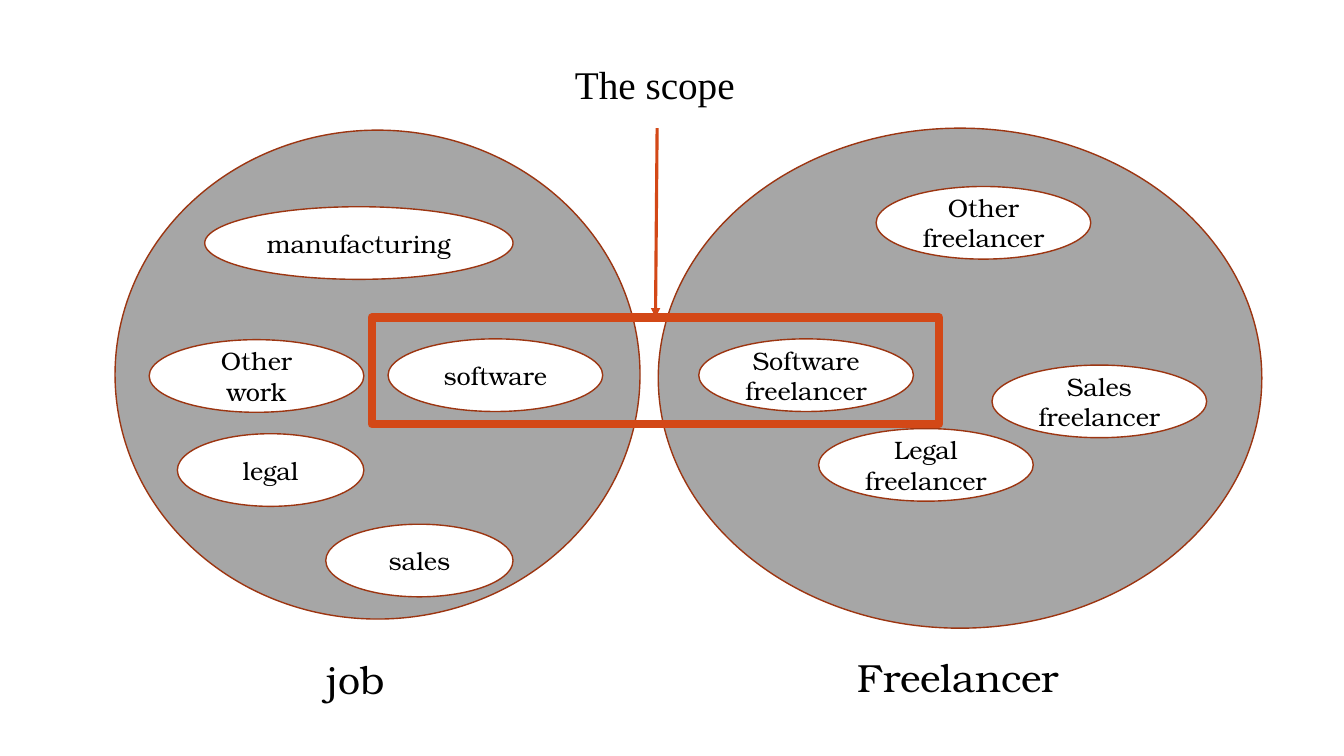
from dataclasses import dataclass

from lxml import etree
from pptx import Presentation
from pptx import util as u
from pptx.dml import color
from pptx.enum import shapes, text
from pptx.oxml import ns


@dataclass(frozen=True)
class Theme:
    """Colours, fonts and type sizes of the slide."""
    ink: str = "000000"
    paper: str = "FFFFFF"
    group: str = "A6A6A6"
    outline: str = "9C3511"
    accent: str = "D34817"
    font: str = "TeX Gyre Bonum"
    title_font: str = "Times New Roman"
    topic_size: int = 18
    label_size: int = 28


@dataclass(frozen=True)
class Box:
    """A rectangle measured in centimetres."""
    left: float
    top: float
    width: float
    height: float

    def inner(self, left, top, width, height):
        """Return a box offset from this one's top left corner."""
        return Box(self.left + left, self.top + top, width, height)

    def lengths(self):
        """Return left, top, width and height as slide lengths."""
        return [u.Cm(value) for value in (self.left, self.top, self.width, self.height)]


THEME = Theme()
TOPIC_HEIGHT = 1.83
TOPIC_WIDTH = 5.41
LABEL_HEIGHT = 1.45
LABEL_DROP = 13.1

JOB_TOPICS = [
    ("manufacturing", 2.26, 1.93, 7.77),
    ("Other work", 0.86, 5.28, TOPIC_WIDTH),
    ("software", 6.88, 5.26, TOPIC_WIDTH),
    ("legal", 1.57, 7.65, 4.7),
    ("sales", 5.31, 9.93, 4.72),
]
FREELANCER_TOPICS = [
    ("Software freelancer", 1.02, 5.31, TOPIC_WIDTH),
    ("Legal freelancer", 4.04, 7.57, TOPIC_WIDTH),
    ("Sales\nfreelancer", 8.41, 5.97, TOPIC_WIDTH),
    ("Other freelancer", 5.49, 1.47, TOPIC_WIDTH),
]


def rgb(value):
    """Return a colour from its hex digits."""
    return color.RGBColor.from_string(value)


def write(shape, words, size=THEME.label_size, font=THEME.font,
          align=text.PP_ALIGN.LEFT, anchor=text.MSO_ANCHOR.TOP):
    """Fill a shape with formatted text, one paragraph a line."""
    frame = shape.text_frame
    frame.text = words
    frame.word_wrap = True
    frame.auto_size = text.MSO_AUTO_SIZE.NONE
    frame.vertical_anchor = anchor
    for para in frame.paragraphs:
        para.alignment = align
        for span in para.runs:
            span.font.size = u.Pt(size)
            span.font.name = font
            span.font.color.rgb = rgb(THEME.ink)


def add_outlined(page, kind, box, fill=None, line=THEME.outline, width=1):
    """Draw a preset shape with an outline and an optional fill."""
    shape = page.shapes.add_shape(kind, *box.lengths())
    shape.shadow.inherit = False
    if fill:
        shape.fill.solid()
        shape.fill.fore_color.rgb = rgb(fill)
    else:
        shape.fill.background()
    shape.line.color.rgb = rgb(line)
    shape.line.width = u.Pt(width)
    return shape


def add_group(page, box, topics):
    """Draw a large circle with its topic ellipses."""
    oval = shapes.MSO_SHAPE.OVAL
    add_outlined(page, oval, box, THEME.group)
    for words, left, top, width in topics:
        topic = add_outlined(page, oval, box.inner(left, top, width, TOPIC_HEIGHT), THEME.paper)
        write(topic, words, size=THEME.topic_size,
              align=text.PP_ALIGN.CENTER, anchor=text.MSO_ANCHOR.MIDDLE)


def add_label(page, box, words, left, width):
    """Write the name of a group below its circle."""
    place = box.inner(left, LABEL_DROP, width, LABEL_HEIGHT)
    write(page.shapes.add_textbox(*place.lengths()), words)


def add_scope(page, box):
    """Place the title, the scope frame and the arrow that joins them."""
    title = page.shapes.title
    title.left, title.top, title.width, title.height = box.inner(
        0.69, 0, 13.13, LABEL_HEIGHT).lengths()
    write(title, "The scope ", font=THEME.title_font, align=text.PP_ALIGN.CENTER)

    frame = add_outlined(page, shapes.MSO_SHAPE.RECTANGLE,
                         box.inner(0, 6.6, box.width, box.height - 6.6),
                         line=THEME.accent, width=6)
    start = box.inner(7.19, 1.83, 0, 0)
    arrow = page.shapes.add_connector(
        shapes.MSO_CONNECTOR.STRAIGHT, u.Cm(start.left), u.Cm(start.top),
        frame.left + frame.width // 2, frame.top)
    arrow.end_connect(frame, 0)
    arrow.line.color.rgb = rgb(THEME.accent)
    arrow.line.width = u.Pt(2.25)
    etree.SubElement(arrow.line._get_or_add_ln(), ns.qn("a:tailEnd"), type="triangle")
    etree.SubElement(arrow._element.spPr, ns.qn("a:effectLst"))


def main():
    """Build the slide and save it."""
    deck = Presentation()
    deck.slide_width, deck.slide_height = u.Cm(33.87), u.Cm(19.05)
    page = deck.slides.add_slide(deck.slide_layouts[5])
    job = Box(2.9, 3.28, 13.23, 12.32)
    freelancer = Box(16.59, 3.23, 15.21, 12.6)
    add_group(page, freelancer, FREELANCER_TOPICS)
    add_group(page, job, JOB_TOPICS)
    add_scope(page, Box(9.37, 1.4, 14.3, 9.29))
    add_label(page, job, "job", left=5.08, width=2.34)
    add_label(page, freelancer, "Freelancer", left=4.77, width=5.66)
    deck.save("out.pptx")


if __name__ == "__main__":
    main()
